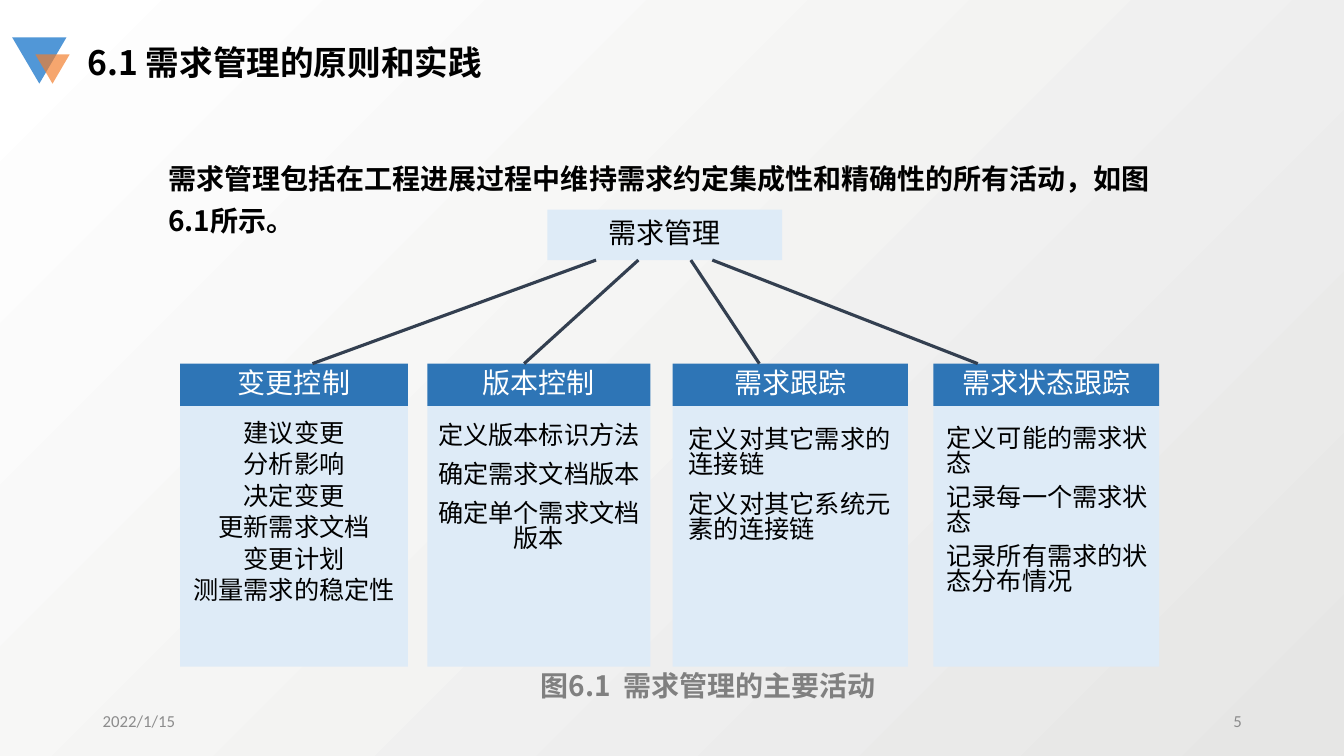
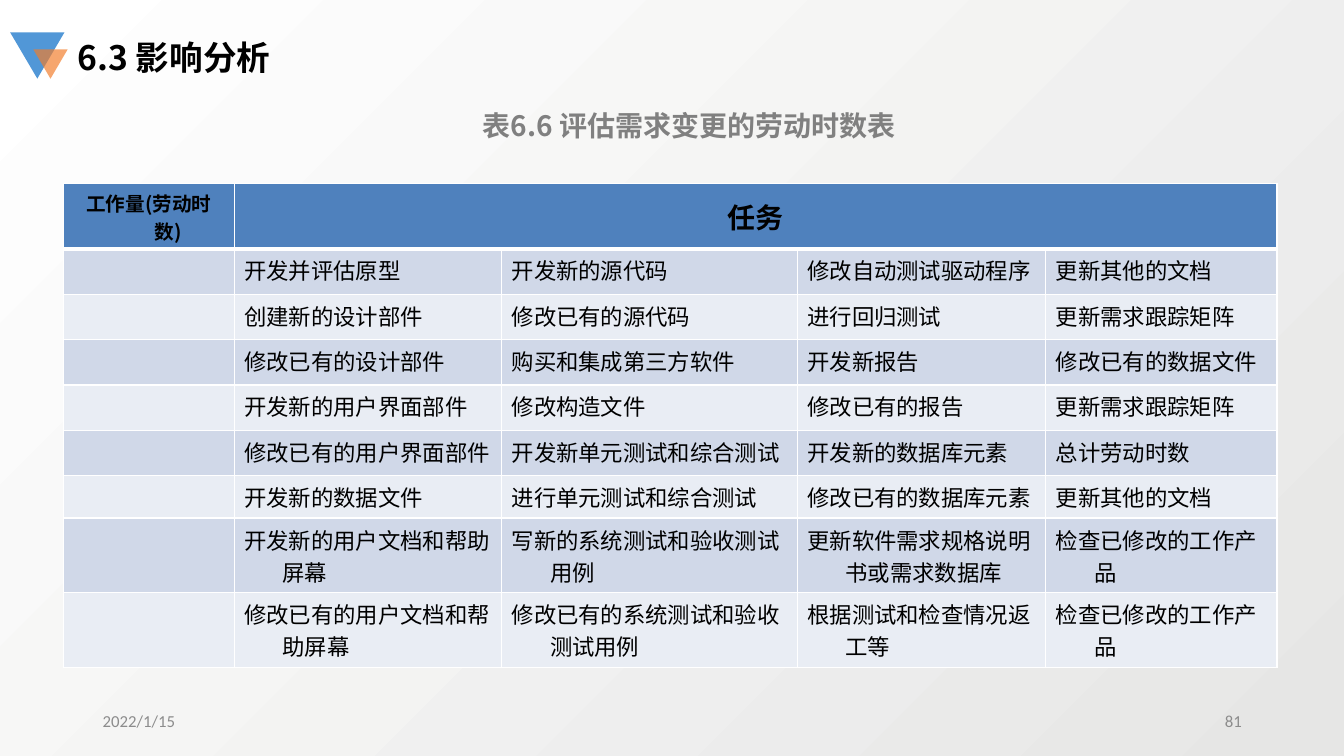
from lxml.etree import SubElement
from pptx import Presentation
from pptx.dml.color import RGBColor
from pptx.enum.shapes import MSO_CONNECTOR, MSO_SHAPE
from pptx.enum.text import MSO_ANCHOR, MSO_AUTO_SIZE, PP_ALIGN
from pptx.oxml.ns import qn
from pptx.util import Emu, Inches, Pt

LEFT, CENTER, RIGHT = PP_ALIGN.LEFT, PP_ALIGN.CENTER, PP_ALIGN.RIGHT
TOP, MIDDLE = MSO_ANCHOR.TOP, MSO_ANCHOR.MIDDLE
FIXED_SIZE = MSO_AUTO_SIZE.NONE
RECTANGLE, TRIANGLE = MSO_SHAPE.RECTANGLE, MSO_SHAPE.ISOSCELES_TRIANGLE
STRAIGHT = MSO_CONNECTOR.STRAIGHT

WIDTH, HEIGHT = Inches(13.33), Inches(7.5)
SANS, SERIF, FOOTER_FONT = "Noto Sans CJK SC", "Times New Roman", "Calibri"
BLACK, WHITE, GRAY, FOOTER_GRAY = "000000", "FFFFFF", "808080", "8C8C8C"
LOGO_BLUE, LOGO_ORANGE = "5197D7", "F37D2A"
PALE_BLUE, STRONG_BLUE, LINE_COLOR = "DEEBF7", "2E75B6", "333F50"
TABLE_HEAD, TABLE_BANDS = "4F81BD", ("D0D8E8", "E9EDF4")
BACKGROUND = ("E6E6E5", "FFFFFF")
TIGHT = 0.82
HANGING = Inches(0.38)

ACTIVITIES = [
    dict(title="变更控制", left=13.4, width=16.95, inset=0.08, drop=0.1,
         align=CENTER, leading=1.04, gap=0, link=(44.35, 23.25),
         items=["建议变更", "分析影响", "决定变更", "更新需求文档", "变更计划", "测量需求的稳定性"]),
    dict(title="版本控制", left=31.8, width=16.6, inset=0.08, drop=0.19,
         align=CENTER, leading=TIGHT, gap=10, link=(47.5, 39),
         items=["定义版本标识方法", "确定需求文档版本", "确定单个需求文档版本"]),
    dict(title="需求跟踪", left=50.05, width=17.5, inset=0.16, drop=0.23,
         align=LEFT, leading=TIGHT, gap=10.5, link=(51.4, 56.5),
         items=["定义对其它需求的连接链", "定义对其它系统元素的连接链"]),
    dict(title="需求状态跟踪", left=69.45, width=16.8, inset=0.13, drop=0.22,
         align=LEFT, leading=TIGHT, gap=6.5, link=(53, 72.75),
         items=["定义可能的需求状态", "记录每一个需求状态", "记录所有需求的状态分布情况"]),
]

TASKS = [
    ["开发并评估原型", "开发新的源代码", "修改自动测试驱动程序", "更新其他的文档"],
    ["创建新的设计部件", "修改已有的源代码", "进行回归测试", "更新需求跟踪矩阵"],
    ["修改已有的设计部件", "购买和集成第三方软件", "开发新报告", "修改已有的数据文件"],
    ["开发新的用户界面部件", "修改构造文件", "修改已有的报告", "更新需求跟踪矩阵"],
    ["修改已有的用户界面部件", "开发新单元测试和综合测试", "开发新的数据库元素", "总计劳动时数"],
    ["开发新的数据文件", "进行单元测试和综合测试", "修改已有的数据库元素", "更新其他的文档"],
    ["开发新的用户文档和帮助屏幕", "写新的系统测试和验收测试用例",
     "更新软件需求规格说明书或需求数据库", "检查已修改的工作产品"],
    ["修改已有的用户文档和帮助屏幕", "修改已有的系统测试和验收测试用例",
     "根据测试和检查情况返工等", "检查已修改的工作产品"],
]
COLUMN_SHARES = [12.7, 19.9, 22, 18.5, 17.2]
ROW_SHARES = [8.67] + [6] * 5 + [5.6] + [9.87] * 2


def color(value):
    """Turn a hex string into a colour."""
    return RGBColor.from_string(value)


def across(share):
    """Return a percentage of the slide's width."""
    return Emu(int(WIDTH * share / 100))


def down(share):
    """Return a percentage of the slide's height."""
    return Emu(int(HEIGHT * share / 100))


def area(left, top, width, height):
    """Turn percentages of the slide into a position and size."""
    return across(left), down(top), across(width), down(height)


def write(frame, text, size=20, fill=BLACK, font=SANS, bold=False,
          align=LEFT, leading=1.0, gap=0, hanging=0):
    """Write one paragraph, or a list of them, into a text frame."""
    lines = [text] if isinstance(text, str) else text
    for index, line in enumerate(lines):
        para = frame.add_paragraph() if index else frame.paragraphs[0]
        para.alignment = align
        para.line_spacing = leading
        para.space_after = Pt(gap)
        if hanging:
            properties = para._p.get_or_add_pPr()
            properties.set("marL", str(hanging))
            properties.set("indent", str(-hanging))
        span = para.add_run()
        span.text = line
        span.font.size = Pt(size)
        span.font.bold = bold
        span.font.color.rgb = color(fill)
        span.font.name = font
        SubElement(span._r.get_or_add_rPr(), qn("a:ea")).set("typeface", SANS)


def add_label(page, place, text, anchor=TOP, **style):
    """Add a wrapping text box."""
    frame = page.shapes.add_textbox(*area(*place)).text_frame
    frame.word_wrap = True
    frame.vertical_anchor = anchor
    write(frame, text, **style)


def add_block(page, place, fill, kind=RECTANGLE):
    """Add a flat filled shape without an outline."""
    block = page.shapes.add_shape(kind, *area(*place))
    block.shadow.inherit = False
    block.fill.solid()
    block.fill.fore_color.rgb = color(fill)
    block.line.fill.background()
    return block


def add_link(page, start, end):
    """Draw a straight line between two points."""
    link = page.shapes.add_connector(
        STRAIGHT, across(start[0]), down(start[1]), across(end[0]), down(end[1]))
    link.line.color.rgb = color(LINE_COLOR)
    link.line.width = Pt(2.25)
    SubElement(link._element.spPr, qn("a:effectLst"))


def add_logo(page, left, top):
    """Draw the two overlapping inverted triangles."""
    large = add_block(page, (left, top, 4.05, 6.13), LOGO_BLUE, TRIANGLE)
    small = add_block(page, (left + 1.73, top + 2.27, 2.55, 3.87), LOGO_ORANGE, TRIANGLE)
    large.rotation = small.rotation = 180
    tint = small.fill._xPr.find(qn("a:solidFill"))[0]
    SubElement(tint, qn("a:alpha")).set("val", "68000")


def add_page(deck, title, number, left, top, title_gap):
    """Add a slide with its title, logo and footer."""
    page = deck.slides.add_slide(deck.slide_layouts[5])
    heading = page.shapes.title
    heading.left, heading.top, heading.width, heading.height = area(
        left + title_gap, top + 0.93, 40, 6.67)
    frame = heading.text_frame
    frame.auto_size = FIXED_SIZE
    frame.vertical_anchor = TOP
    write(frame, title, size=24, bold=True, leading=TIGHT)
    add_logo(page, left, top)
    for text, edge, align in (("2022/1/15", 6.9, LEFT), (number, 70.65, RIGHT)):
        add_label(page, (edge, 92.7, 22.5, 5.33), text, anchor=MIDDLE, size=12,
                  fill=FOOTER_GRAY, font=FOOTER_FONT, align=align)
    return page


def add_caption(page, place, text):
    """Add a centred grey caption."""
    add_label(page, place, text, fill=GRAY, bold=True, align=CENTER, leading=TIGHT)


def add_activity(page, title, items, left, width, inset, drop, align, leading, gap, link):
    """Add one activity column and its line from the root."""
    body = add_block(page, (left, 53.7, width, 34.5), PALE_BLUE)
    frame = body.text_frame
    frame.vertical_anchor = TOP
    frame.margin_left, frame.margin_top = Inches(inset), Inches(drop)
    frame.margin_right = Inches(0.08)
    write(frame, items, size=18, align=align, leading=leading, gap=gap)
    head = add_block(page, (left, 48.1, width, 5.6), STRONG_BLUE)
    write(head.text_frame, title, fill=WHITE, align=CENTER, leading=TIGHT)
    add_link(page, (link[0], 34.4), (link[1], 48.1))


def set_borders(cell, top, bottom):
    """Give a cell white borders with the given top and bottom widths."""
    properties = cell._tc.get_or_add_tcPr()
    for side, width in (("L", 1), ("R", 1), ("T", top), ("B", bottom)):
        border = SubElement(properties, qn("a:ln" + side), w=str(Pt(width)))
        paint = SubElement(border, qn("a:solidFill"))
        SubElement(paint, qn("a:srgbClr")).set("val", WHITE)


def add_task_table(page):
    """Add the table of tasks with an empty column for hours."""
    place = area(4.73, 24.27, sum(COLUMN_SHARES), sum(ROW_SHARES))
    table = page.shapes.add_table(len(ROW_SHARES), len(COLUMN_SHARES), *place).table
    for column, share in zip(table.columns, COLUMN_SHARES):
        column.width = across(share)
    for index, (row, share) in enumerate(zip(table.rows, ROW_SHARES)):
        row.height = down(share)
        for cell in row.cells:
            set_borders(cell, 3 if index == 1 else 1, 1 if index else 3)
            cell.fill.solid()
            cell.fill.fore_color.rgb = color(TABLE_BANDS[(index - 1) % 2] if index else TABLE_HEAD)
    table.cell(0, 1).merge(table.cell(0, 4))
    for column, (text, size) in enumerate((("工作量(劳动时数)", 14), ("任务", 20))):
        cell = table.cell(0, column)
        cell.vertical_anchor = MIDDLE
        write(cell.text_frame, text, size=size, bold=True, align=CENTER, hanging=HANGING)
    for row, tasks in enumerate(TASKS, 1):
        for column, task in enumerate(tasks, 1):
            write(table.cell(row, column).text_frame, task, size=16, font=SERIF, hanging=HANGING)


def set_background(deck):
    """Give the slide master a diagonal gradient."""
    fill = deck.slide_master.background.fill
    fill.gradient()
    fill.gradient_angle = 135
    for stop, value in zip(fill.gradient_stops, BACKGROUND):
        stop.color.rgb = color(value)


def add_principles_page(deck):
    """Build the slide with the activity tree."""
    page = add_page(deck, "6.1 需求管理的原则和实践", "5", 0.9, 4.93, 4.88)
    add_label(page, (11.78, 19.73, 76.44, 13.73),
              "需求管理包括在工程进展过程中维持需求约定集成性和精确性的所有活动，如图6.1所示。",
              bold=True, leading=1.23)
    root = add_block(page, (40.73, 27.73, 17.48, 6.67), PALE_BLUE)
    write(root.text_frame, "需求管理", align=CENTER, leading=TIGHT)
    for activity in ACTIVITIES:
        add_activity(page, **activity)
    add_caption(page, (37.7, 88.5, 30, 5.9), "图6.1  需求管理的主要活动")


def add_impact_page(deck):
    """Build the slide with the table of working hours."""
    page = add_page(deck, "6.3 影响分析", "81", 0.75, 4.27, 4.28)
    add_caption(page, (14.18, 14.5, 74.2, 5.9), "表6.6 评估需求变更的劳动时数表")
    add_task_table(page)


def main():
    """Build and save the deck."""
    deck = Presentation()
    deck.slide_width, deck.slide_height = WIDTH, HEIGHT
    set_background(deck)
    add_principles_page(deck)
    add_impact_page(deck)
    deck.save("out.pptx")


if __name__ == "__main__":
    main()
